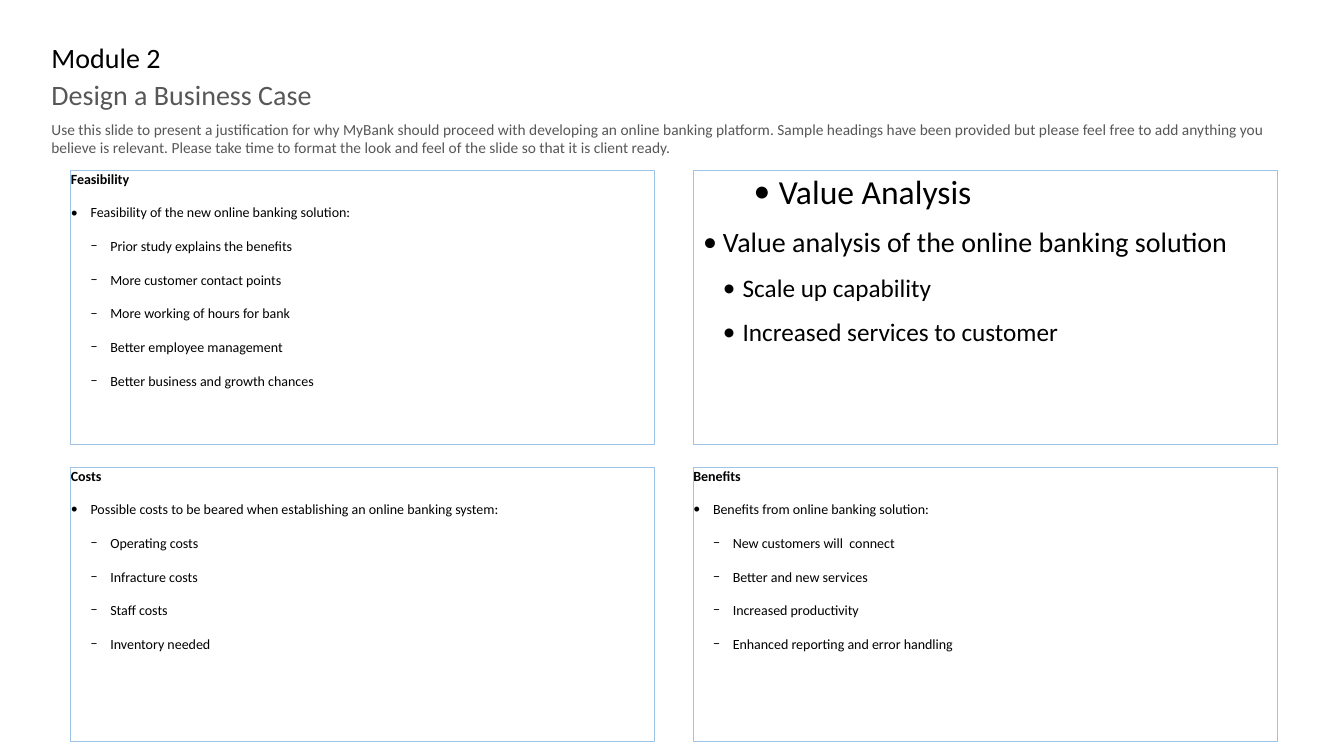
"""Build the business case slide: headings above a two by two grid of panels."""
import pptx
import pptx.dml.color
import pptx.enum.shapes
import pptx.enum.text
import pptx.util
from lxml import etree
from pptx.oxml.ns import qn

Pt = pptx.util.Pt
BLACK = pptx.dml.color.RGBColor(0x00, 0x00, 0x00)
GREY = pptx.dml.color.RGBColor(0x57, 0x57, 0x57)
PALE_BLUE = pptx.dml.color.RGBColor(0x9D, 0xC3, 0xE6)
FONT = "Calibri"

HEADING_LEFT = 36.7
PANEL_LEFT, PANEL_TOP = 50.6, 121.7
PANEL_WIDTH, PANEL_HEIGHT = 417, 196
COLUMN_STEP, ROW_STEP = 441, 212
INDENT = 14.1

INTRODUCTION = (
    "Use this slide to present a justification for why MyBank should proceed with "
    "developing an online banking platform. Sample headings have been provided but "
    "please feel free to add anything you believe is relevant. Please take time to "
    "format the look and feel of the slide so that it is client ready."
)

SMALL_STYLES = {
    1: dict(size=10, bold=True),
    2: dict(size=10, margin=INDENT, hanging=INDENT, bullet="•"),
    3: dict(size=10, margin=2 * INDENT, hanging=INDENT, bullet="−"),
}
LARGE_STYLES = {
    1: dict(size=24, margin=54, hanging=18, bullet="•", line_spacing=0.9),
    2: dict(size=20, margin=INDENT, hanging=INDENT, bullet="•", line_spacing=0.9),
    3: dict(size=18, margin=2 * INDENT, hanging=INDENT, bullet="•", line_spacing=0.9),
}

FEASIBILITY = ["Feasibility", "Feasibility of the new online banking solution:",
               "Prior study explains the benefits", "More customer contact points",
               "More working of hours for bank", "Better employee management",
               "Better business and growth chances"]
VALUE_ANALYSIS = ["Value Analysis", "Value analysis of the online banking solution",
                  "Scale up capability", "Increased services to customer"]
COSTS = ["Costs",
         "Possible costs to be beared when establishing an online banking system:",
         "Operating costs", "Infracture costs", "Staff costs", "Inventory needed"]
BENEFITS = ["Benefits", "Benefits from online banking solution:",
            "New customers will  connect", "Better and new services",
            "Increased productivity", "Enhanced reporting and error handling"]


def prepare_frame(frame, side_inset=0, end_inset=0):
    frame.word_wrap = True
    frame.auto_size = pptx.enum.text.MSO_AUTO_SIZE.NONE
    frame.vertical_anchor = pptx.enum.text.MSO_ANCHOR.TOP
    frame.margin_left = frame.margin_right = Pt(side_inset)
    frame.margin_top = frame.margin_bottom = Pt(end_inset)


def write_paragraph(para, text, size, color=BLACK, bold=False, before=0, after=0,
                    line_spacing=1.0):
    para.alignment = pptx.enum.text.PP_ALIGN.LEFT
    para.line_spacing = line_spacing
    para.space_before, para.space_after = Pt(before), Pt(after)
    span = para.add_run()
    span.text = text
    span.font.name = FONT
    span.font.size = Pt(size)
    span.font.bold = bold
    span.font.color.rgb = color


def set_bullet(para, margin=0, hanging=0, bullet=None):
    properties = para._p.get_or_add_pPr()
    properties.set("marL", str(Pt(margin)))
    properties.set("indent", str(-Pt(hanging)))
    if bullet:
        etree.SubElement(properties, qn("a:buFont")).set("typeface", FONT)
        etree.SubElement(properties, qn("a:buChar")).set("char", bullet)
    else:
        etree.SubElement(properties, qn("a:buNone"))


def format_heading(box, top, width, height, text, **style):
    box.left, box.top = Pt(HEADING_LEFT), Pt(top)
    box.width, box.height = Pt(width), Pt(height)
    prepare_frame(box.text_frame)
    write_paragraph(box.text_frame.paragraphs[0], text, **style)


def add_heading(page, *placement, **style):
    format_heading(page.shapes.add_textbox(0, 0, 0, 0), *placement, **style)


def add_panel(page, column, row, lines, styles=SMALL_STYLES, insets=(0, 0)):
    box = page.shapes.add_shape(
        pptx.enum.shapes.MSO_SHAPE.RECTANGLE,
        Pt(PANEL_LEFT + column * COLUMN_STEP + column * 3.6),
        Pt(PANEL_TOP + row * ROW_STEP), Pt(PANEL_WIDTH), Pt(PANEL_HEIGHT))
    box.shadow.inherit = False
    box.fill.background()
    box.line.color.rgb = PALE_BLUE
    box.line.width = Pt(0.75)
    frame = box.text_frame
    prepare_frame(frame, *insets)
    for index, text in enumerate(lines):
        para = frame.add_paragraph() if index else frame.paragraphs[0]
        para.level = min(index + 1, 3)
        style = dict(styles[para.level])
        bullet = {key: style.pop(key) for key in ("margin", "hanging", "bullet")
                  if key in style}
        write_paragraph(para, text, before=6, after=6, **style)
        set_bullet(para, **bullet)


def main():
    deck = pptx.Presentation()
    deck.slide_width, deck.slide_height = Pt(960), Pt(540)
    page = deck.slides.add_slide(deck.slide_layouts.get_by_name("Title Only"))
    format_heading(page.shapes.title, 31.7, 721.4, 26.6, "Module 2",
                   size=20, line_spacing=0.9)
    add_heading(page, 58.3, 721.4, 29.5, "Design a Business Case",
                size=20, color=GREY, before=10, line_spacing=0.9)
    add_heading(page, 85.7, 887, 31.7, INTRODUCTION, size=11, color=GREY, after=10)
    add_panel(page, 0, 0, FEASIBILITY)
    add_panel(page, 1, 0, VALUE_ANALYSIS, LARGE_STYLES, insets=(7.2, 3.6))
    add_panel(page, 0, 1, COSTS)
    add_panel(page, 1, 1, BENEFITS)
    deck.save("out.pptx")


if __name__ == "__main__":
    main()
